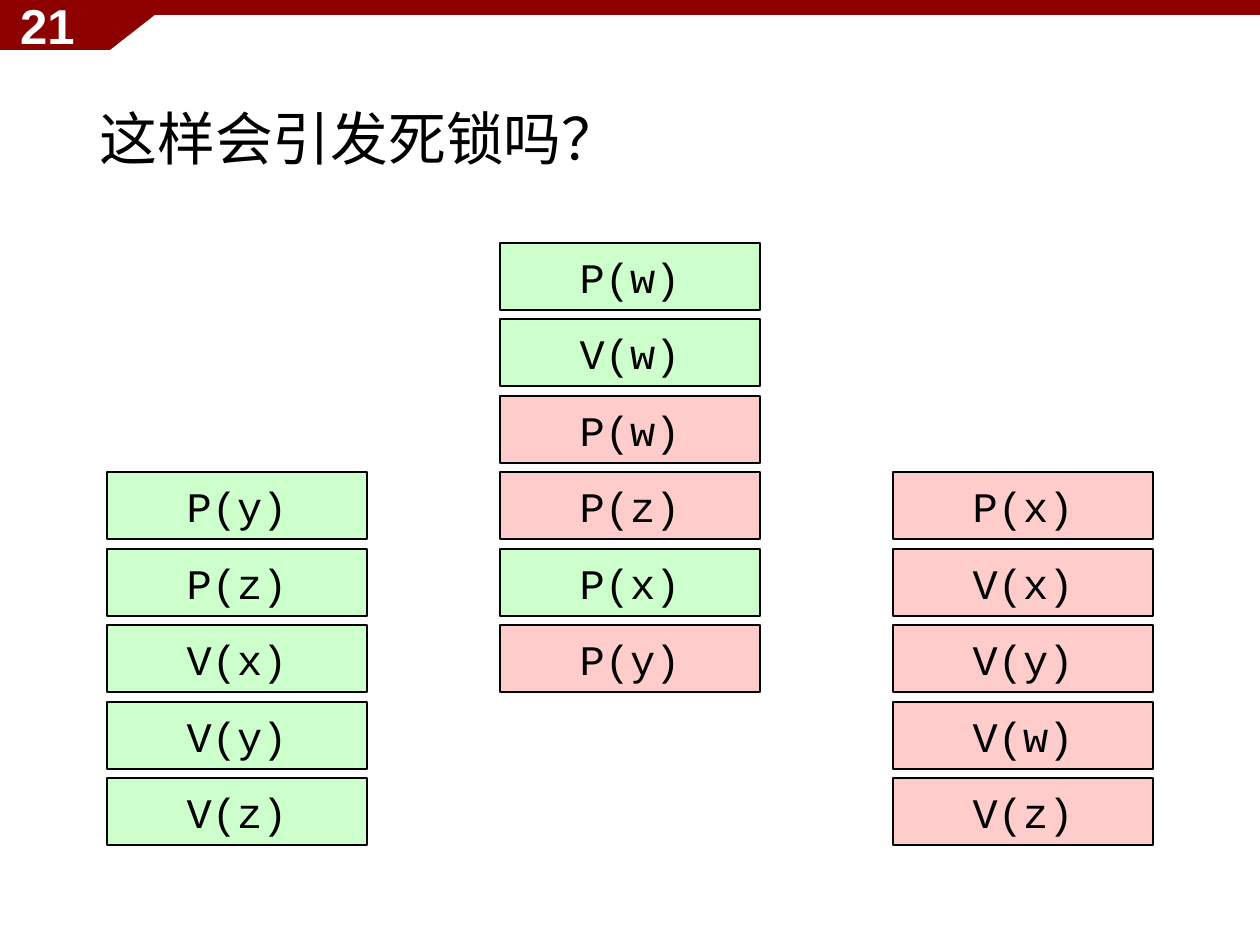
"""Builds the deadlock question slide with three columns of semaphore steps."""
from dataclasses import dataclass

import pptx
import pptx.dml.color
import pptx.enum.shapes
import pptx.enum.text
import pptx.util

PX = 914400 / 126
ALIGN = pptx.enum.text.PP_ALIGN
RECT = pptx.enum.shapes.MSO_SHAPE.RECTANGLE


@dataclass(frozen=True)
class Theme:
    """Colours, fonts and type sizes of the slide."""
    band: str = "8C0000"
    ink: str = "000000"
    paper: str = "FFFFFF"
    green: str = "CCFFCC"
    red: str = "FFCCCC"
    title_font: str = "Times New Roman"
    number_font: str = "Arial"
    code_font: str = "Courier New"
    title_size: int = 33
    number_size: int = 28
    code_size: int = 24


def emu(*lengths):
    """Turn px lengths into EMU."""
    return [pptx.util.Emu(round(n * PX)) for n in lengths]


def rgb(color):
    """Turn a hex string into a colour."""
    return pptx.dml.color.RGBColor.from_string(color)


class SlideBuilder:
    """Holds the theme and the current slide."""

    def __init__(self, slide, theme):
        """Keep the slide and its theme."""
        self.slide = slide
        self.theme = theme

    def set_text(self, sp, text, font, size, color, align, bold=False):
        """Put one vertically centred line of text in a shape."""
        tf = sp.text_frame
        tf.text = text
        tf.word_wrap = True
        tf.auto_size = pptx.enum.text.MSO_AUTO_SIZE.NONE
        tf.vertical_anchor = pptx.enum.text.MSO_ANCHOR.MIDDLE
        p = tf.paragraphs[0]
        p.alignment = align
        r = p.runs[0]
        r.font.name = font
        r.font.size = pptx.util.Pt(size)
        r.font.bold = bold
        r.font.color.rgb = rgb(color)
        return p

    def paint(self, sp, fill, line=None):
        """Give a shape a flat fill and an optional outline."""
        sp.shadow.inherit = False
        sp.fill.solid()
        sp.fill.fore_color.rgb = rgb(fill)
        if line:
            sp.line.color.rgb = rgb(line)
            sp.line.width = pptx.util.Pt(1)
        else:
            sp.line.fill.background()

    def title(self, text, *box):
        """Move and fill the title placeholder."""
        sp = self.slide.shapes.title
        sp.left, sp.top, sp.width, sp.height = emu(*box)
        t = self.theme
        p = self.set_text(sp, text, t.title_font, t.title_size, t.ink, ALIGN.LEFT)
        p.line_spacing = 0.9

    def band(self, *box):
        """Draw a plain rectangle in the band colour."""
        sp = self.slide.shapes.add_shape(RECT, *emu(*box))
        self.paint(sp, self.theme.band)

    def tab(self, points):
        """Draw a closed outline in the band colour."""
        builder = self.slide.shapes.build_freeform(*points[0], scale=PX)
        builder.add_line_segments(points[1:], close=True)
        self.paint(builder.convert_to_shape(), self.theme.band)

    def number(self, text, *box):
        """Add the page number."""
        sp = self.slide.shapes.add_textbox(*emu(*box))
        t = self.theme
        self.set_text(sp, text, t.number_font, t.number_size, t.paper, ALIGN.RIGHT, bold=True)

    def step(self, text, fill, *box):
        """Draw one outlined step box."""
        sp = self.slide.shapes.add_shape(RECT, *emu(*box))
        t = self.theme
        self.paint(sp, fill, t.ink)
        self.set_text(sp, text, t.code_font, t.code_size, t.ink, ALIGN.CENTER)


def main():
    """Build and save the slide."""
    prs = pptx.Presentation()
    prs.slide_width, prs.slide_height = emu(1260, 945)
    theme = Theme()
    s = SlideBuilder(prs.slides.add_slide(prs.slide_layouts[5]), theme)
    s.tab([(0, 0), (0, 50), (110, 50), (174, 0)])
    s.band(0, 0, 1260, 15)
    s.title("这样会引发死锁吗？", 87, 50, 1086, 183)
    s.number("21", -2, 0, 89, 50)

    green, red = theme.green, theme.red
    columns = [
        (3, [("P(y)", green), ("P(z)", green), ("V(x)", green), ("V(y)", green), ("V(z)", green)]),
        (0, [("P(w)", green), ("V(w)", green), ("P(w)", red), ("P(z)", red), ("P(x)", green),
             ("P(y)", red)]),
        (3, [("P(x)", red), ("V(x)", red), ("V(y)", red), ("V(w)", red), ("V(z)", red)]),
    ]
    for col, (first_row, steps) in enumerate(columns):
        for row, (text, fill) in enumerate(steps, first_row):
            s.step(text, fill, 107 + 393 * col, 243 + 153 * row // 2, 260, 67)
    prs.save("out.pptx")


if __name__ == "__main__":
    main()
